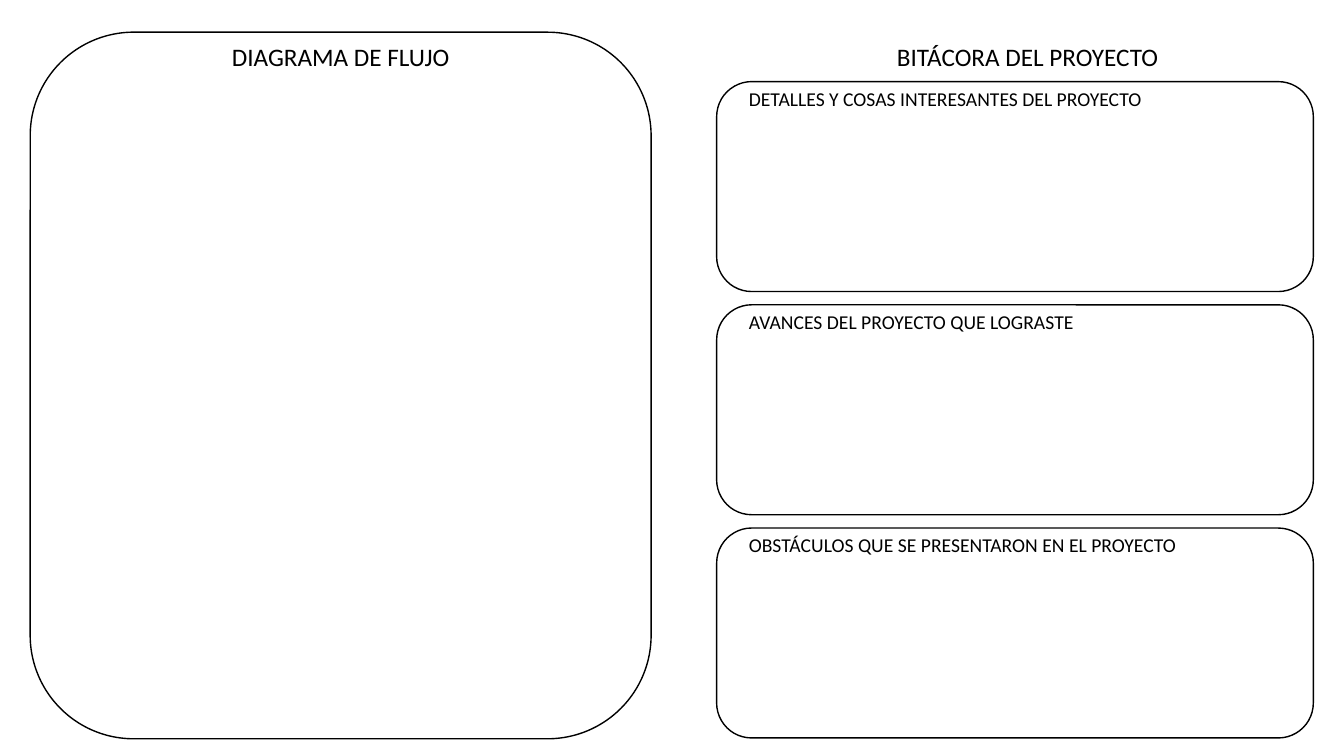
from pptx import Presentation
from pptx.dml.color import RGBColor as Rgb
from pptx.enum.shapes import MSO_SHAPE as Kind
from pptx.enum.text import MSO_AUTO_SIZE as Fit, PP_ALIGN as Align
from pptx.util import Pt

COLORS = {"paper": "FFFFFF", "ink": "000000"}
FONT = "Calibri"
HEAD_W, HEAD_H = 307.4, 29
TOPICS = [
    "DETALLES Y COSAS INTERESANTES DEL PROYECTO",
    "AVANCES DEL PROYECTO QUE LOGRASTE",
    "OBSTÁCULOS QUE SE PRESENTARON EN EL PROYECTO",
]


def tint(name):
    return Rgb.from_string(COLORS[name])


def add_panel(slide, x, y, w, h):
    panel = slide.shapes.add_shape(
        Kind.ROUNDED_RECTANGLE, Pt(x), Pt(y), Pt(w), Pt(h))
    panel.shadow.inherit = False
    panel.fill.solid()
    panel.fill.fore_color.rgb = tint("paper")
    panel.line.color.rgb = tint("ink")
    panel.line.width = Pt(1)


def add_label(slide, text, x, y, w, h, size, align=Align.LEFT):
    frame = slide.shapes.add_textbox(Pt(x), Pt(y), Pt(w), Pt(h)).text_frame
    frame.word_wrap = True
    frame.auto_size = Fit.SHAPE_TO_FIT_TEXT
    para = frame.paragraphs[0]
    para.text = text
    para.alignment = align
    para.font.name = FONT
    para.font.size = Pt(size)
    para.font.color.rgb = tint("ink")


def add_head(slide, text, mid, y):
    add_label(slide, text, mid - HEAD_W / 2, y, HEAD_W, HEAD_H, 18,
              Align.CENTER)


def add_flow(slide, x, y, w, h):
    """Large panel with its heading inside the top edge."""
    add_panel(slide, x, y, w, h)
    add_head(slide, "DIAGRAMA DE FLUJO", x + w / 2, y + 2.9)


def add_log(slide, x, y, w, h):
    """Heading above a stack of equal topic panels."""
    add_head(slide, "BITÁCORA DEL PROYECTO", x + w / 2 + 9, y)
    top, gap = y + 32.4, 9.5
    each = (y + h - top - gap * (len(TOPICS) - 1)) / len(TOPICS)
    for i, topic in enumerate(TOPICS):
        row = top + i * (each + gap)
        add_panel(slide, x, row, w, each)
        add_label(slide, topic, x + 15.9, row, 360, 24.2, 14)


deck = Presentation()
deck.slide_width, deck.slide_height = Pt(960), Pt(540)
page = deck.slides.add_slide(deck.slide_layouts[6])  # blank layout

# Left and right halves
add_flow(page, 21.6, 23, 443.5, 504.7)
add_log(page, 511.9, 25.9, 426.2, 501.2)

deck.save("out.pptx")
